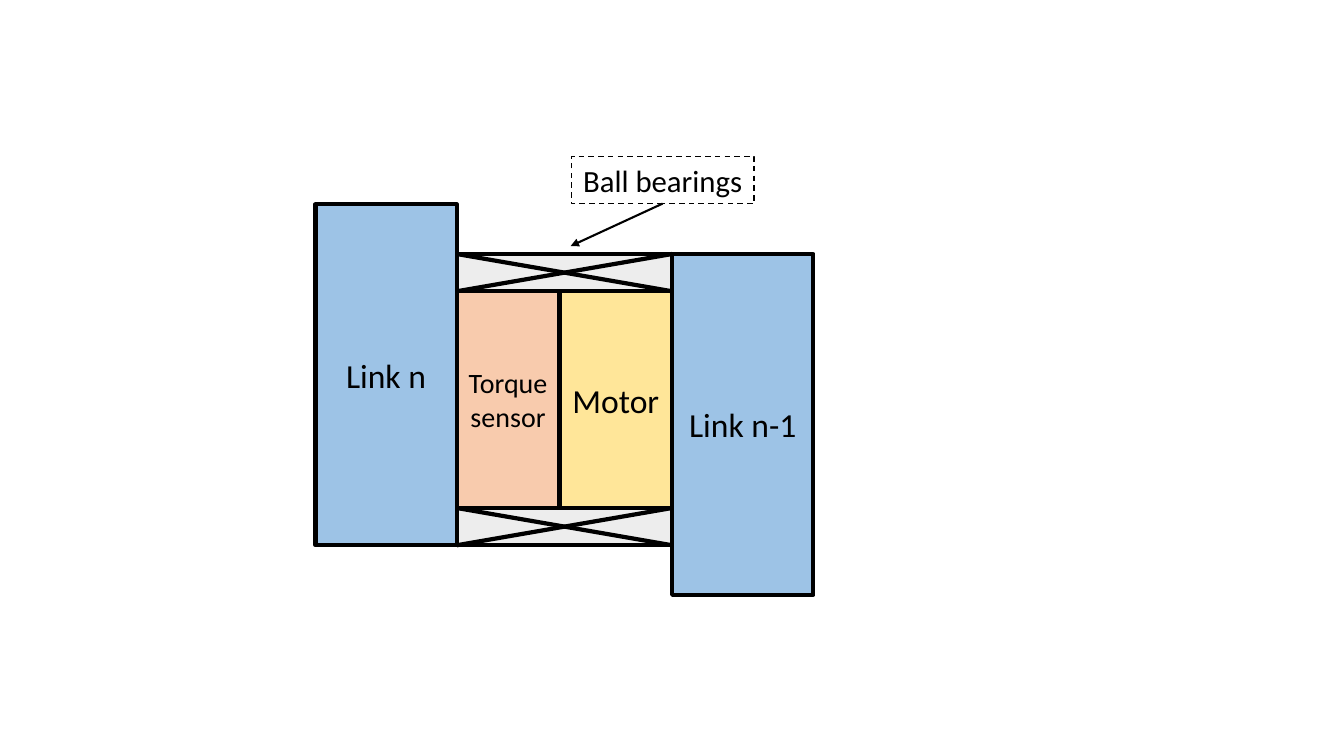
from dataclasses import dataclass

from lxml import etree
from pptx import Presentation
from pptx.dml.color import RGBColor
from pptx.enum import dml, shapes, text
from pptx.oxml import ns
from pptx.shapes.autoshape import Shape
from pptx.shapes.connector import Connector
from pptx.util import Cm, Pt


@dataclass(frozen=True)
class Theme:
    """Colours, type sizes and line widths of the slide."""
    font: str = "Calibri"
    ink: str = "000000"
    link: str = "9DC3E6"
    sensor: str = "F8CBAD"
    motor: str = "FFE699"
    bearing: str = "EDEDED"
    large: float = 24
    medium: float = 22
    small: float = 20
    outline: float = 3
    pointer: float = 1.5
    dashed: float = 1


@dataclass(frozen=True)
class Block:
    """A rectangle in centimetres with its lines of text."""
    left: float
    top: float
    width: float
    height: float
    fill: str | None
    lines: tuple[str, ...] = ()
    size: float = 24


THEME = Theme()


def style_line(item: Shape | Connector, width: float) -> None:
    """Give an outline or connector its ink colour and width."""
    item.line.color.rgb = RGBColor.from_string(THEME.ink)
    item.line.width = Pt(width)


def add_block(parent, block: Block, line_width: float = THEME.outline) -> Shape:
    """Draw a rectangle with centred text."""
    box = parent.add_shape(
        shapes.MSO_SHAPE.RECTANGLE,
        Cm(block.left), Cm(block.top), Cm(block.width), Cm(block.height))
    box.shadow.inherit = False
    style_line(box, line_width)
    if block.fill:
        box.fill.solid()
        box.fill.fore_color.rgb = RGBColor.from_string(block.fill)
    else:
        box.fill.background()
    frame = box.text_frame
    frame.word_wrap = True
    frame.margin_left = frame.margin_right = 0
    frame.vertical_anchor = text.MSO_ANCHOR.MIDDLE
    for index, line in enumerate(block.lines):
        para = frame.add_paragraph() if index else frame.paragraphs[0]
        para.text = line
        para.alignment = text.PP_ALIGN.CENTER
        para.font.name = THEME.font
        para.font.size = Pt(block.size)
        para.font.color.rgb = RGBColor.from_string(THEME.ink)
    return box


def add_line(parent, start: tuple[float, float], end: tuple[float, float],
             width: float = THEME.outline) -> Connector:
    """Draw a straight line between two points in centimetres."""
    line = parent.add_connector(
        shapes.MSO_CONNECTOR.STRAIGHT, *map(Cm, start), *map(Cm, end))
    style_line(line, width)
    etree.SubElement(line._element.spPr, ns.qn("a:effectLst"))
    return line


def add_bearing(page, block: Block) -> None:
    """Draw a bearing as a group: a rectangle crossed by its diagonals."""
    parts = page.shapes.add_group_shape().shapes
    add_block(parts, block)
    right, bottom = block.left + block.width, block.top + block.height
    add_line(parts, (block.left, block.top), (right, bottom))
    add_line(parts, (block.left, bottom), (right, block.top))


def add_arrowhead(line: Connector) -> None:
    """Put a triangle at the end of a line."""
    etree.SubElement(line.line._get_or_add_ln(), ns.qn("a:tailEnd"), type="triangle")


deck = Presentation()
deck.slide_width, deck.slide_height = Cm(33.87), Cm(19.05)
page = deck.slides.add_slide(deck.slide_layouts[6])

LINK_WIDTH, LINK_HEIGHT = 3.56, 8.59
SENSOR_WIDTH, MOTOR_WIDTH = 2.59, 2.84
CORE_HEIGHT, BEARING_HEIGHT = 5.46, 0.94
JOINT_WIDTH = SENSOR_WIDTH + MOTOR_WIDTH
joint_left, joint_top = 11.51, 6.4
joint_right = joint_left + JOINT_WIDTH
core_top = joint_top + BEARING_HEIGHT
core_bottom = core_top + CORE_HEIGHT
link_top = core_bottom + BEARING_HEIGHT - LINK_HEIGHT

BLOCKS = (
    Block(joint_left - LINK_WIDTH, link_top, LINK_WIDTH, LINK_HEIGHT,
          THEME.link, ("Link n",), THEME.large),
    Block(joint_left, core_top, SENSOR_WIDTH, CORE_HEIGHT,
          THEME.sensor, ("Torque", "sensor"), THEME.small),
    Block(joint_left + SENSOR_WIDTH, core_top, MOTOR_WIDTH, CORE_HEIGHT,
          THEME.motor, ("Motor",), THEME.large),
    Block(joint_right, joint_top, LINK_WIDTH, LINK_HEIGHT,
          THEME.link, ("Link n-1",), THEME.large),
)
for block in BLOCKS:
    add_block(page.shapes, block)
for bearing_top in (joint_top, core_bottom):
    add_bearing(page, Block(joint_left, bearing_top, JOINT_WIDTH,
                            BEARING_HEIGHT, THEME.bearing))

label = Block(14.4, 3.94, 4.6, 1.19, None, ("Ball bearings",), THEME.medium)
label_box = add_block(page.shapes, label, THEME.dashed)
label_box.line.dash_style = dml.MSO_LINE.DASH
pointer = add_line(page.shapes,
                   (label.left + label.width / 2, label.top + label.height),
                   (14.38, 6.2), THEME.pointer)
pointer.begin_connect(label_box, 2)
add_arrowhead(pointer)

deck.save("out.pptx")
